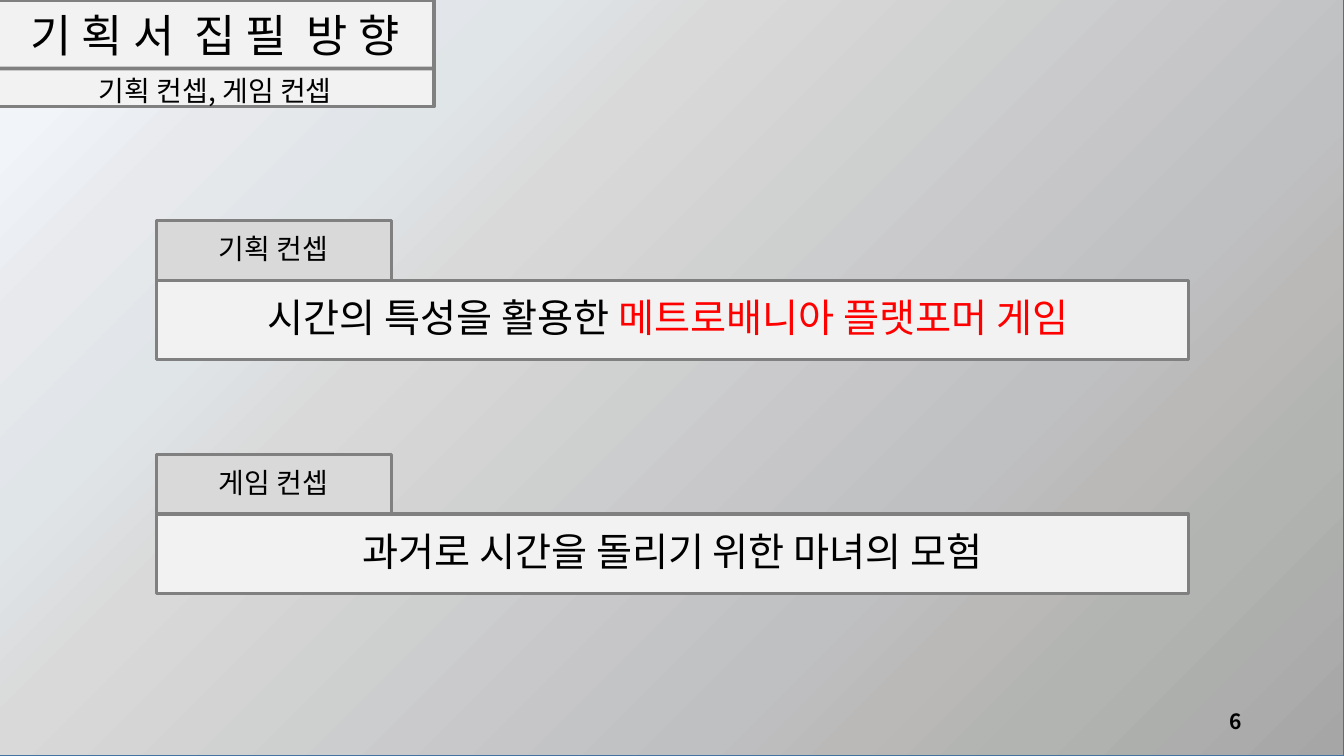
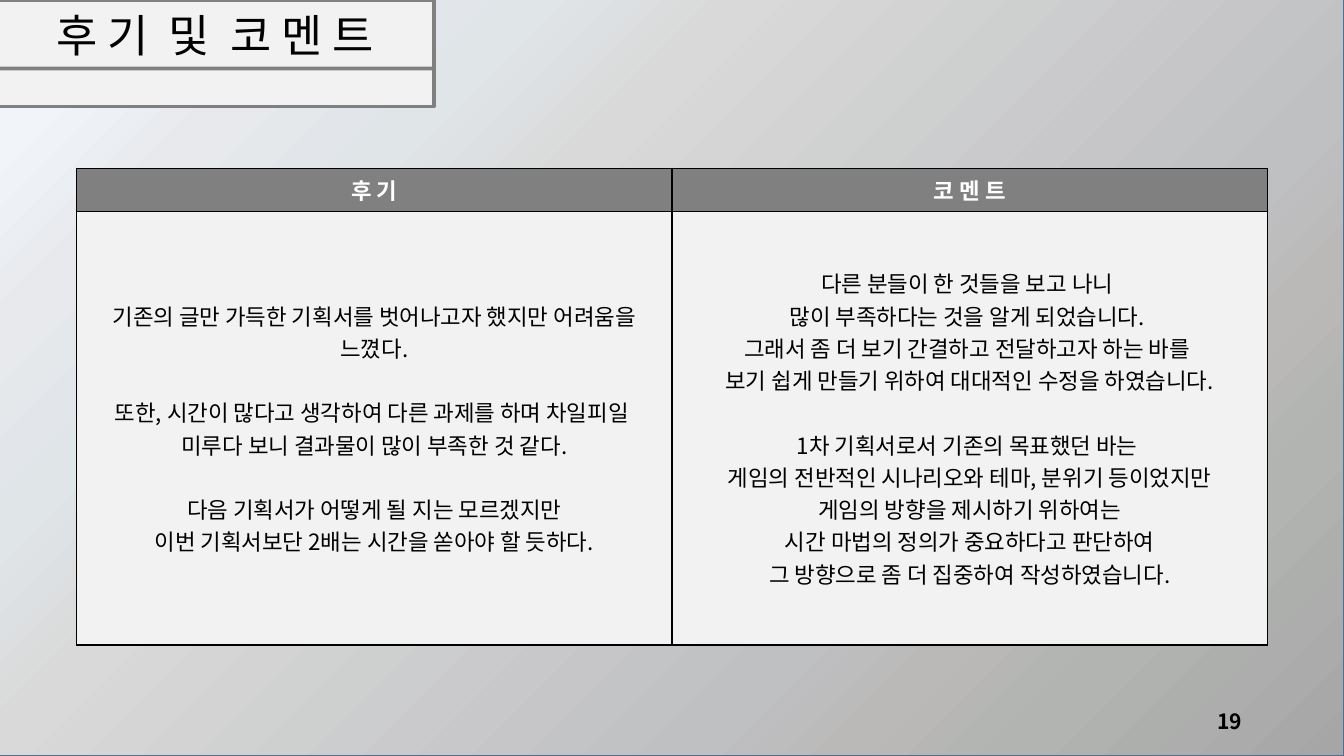
"""Builds two slides of a game design proposal."""
from dataclasses import dataclass
from typing import NamedTuple

from lxml import etree
from pptx import Presentation
from pptx.dml.color import RGBColor
from pptx.enum.shapes import MSO_SHAPE
from pptx.enum.text import MSO_ANCHOR, MSO_AUTO_SIZE, PP_ALIGN
from pptx.oxml.ns import qn
from pptx.presentation import Presentation as Deck
from pptx.shapes.autoshape import Shape
from pptx.slide import Slide, SlideLayout
from pptx.table import _Cell
from pptx.text.text import TextFrame, _Paragraph
from pptx.util import Emu, Inches, Pt

RECTANGLE = MSO_SHAPE.RECTANGLE
MIDDLE, BOTTOM = MSO_ANCHOR.MIDDLE, MSO_ANCHOR.BOTTOM
CENTER, RIGHT = PP_ALIGN.CENTER, PP_ALIGN.RIGHT
NO_AUTOFIT = MSO_AUTO_SIZE.NONE

SLIDE_WIDTH, SLIDE_HEIGHT = Inches(13.33), Inches(7.5)
GRID = 100


@dataclass(frozen=True)
class Theme:
    """Colours and type sizes of the deck."""
    font: str = "Noto Sans CJK KR"
    ink: str = "000000"
    accent: str = "FF0000"
    white: str = "FFFFFF"
    panel: str = "F2F2F2"
    tab: str = "D9D9D9"
    frame: str = "808080"
    edge: str = "43739E"
    backdrop: tuple[tuple[int, str], ...] = (
        (0, "F7FAFD"), (7, "F1F5F9"), (16, "E7E9ED"), (26, "E0E5E8"),
        (35, "D9D9D9"), (69, "BFC0C2"), (76, "BBB9B8"), (84, "B1B4B1"),
        (100, "A6A6A6"))
    title_size: float = 32
    statement_size: float = 28
    label_size: float = 20
    table_size: float = 16
    number_size: float = 15
    frame_width: float = 2.25
    edge_width: float = 1
    line_spacing: float = 0.9
    box_lead: float = 10
    stanza_gap: float = 23


class Area(NamedTuple):
    """A rectangle in columns and rows of the grid."""
    column: float
    row: float
    columns: float
    rows: float

    def emu(self) -> tuple[Emu, Emu, Emu, Emu]:
        """Return left, top, width and height."""
        return (across(self.column), down(self.row),
                across(self.columns), down(self.rows))


class Concept(NamedTuple):
    """A labelled statement with an optional highlighted ending."""
    label: str
    statement: str
    highlight: str = ""


class Review(NamedTuple):
    """A table column whose body is made of stanzas of lines."""
    heading: str
    stanzas: tuple[tuple[str, ...], ...]


THEME = Theme()
BACKDROP = Area(-0.2, -0.13, 100.2, 100.13)
HEADER = Area(-0.2, 0, 32.5, 14.13)
DIVIDER = Area(-0.2, 8.8, 32.5, 0.53)
TITLE = Area(0.45, 0.27, 31.13, 8.67)
SUBTITLE = Area(0.45, 10.53, 31.13, 4.4)
PAGE_NUMBER = Area(70.67, 92.67, 22.5, 5.33)
LABEL = Area(11.63, 29.2, 17.48, 7.87)
STATEMENT = Area(11.63, 37.07, 76.8, 10.53)
CONCEPT_PITCH = 30.93
REVIEWS_AREA = Area(5.7, 22.27, 88.6, 63.06)
HEADING_ROWS = 5.73

CONCEPTS = (
    Concept("기획 컨셉", "시간의 특성을 활용한 ", "메트로배니아 플랫포머 게임 "),
    Concept("게임 컨셉", "과거로 시간을 돌리기 위한 마녀의 모험"),
)
REVIEWS = (
    Review("후 기", (
        ("기존의 글만 가득한 기획서를 벗어나고자 했지만 어려움을 느꼈다.",),
        ("또한, 시간이 많다고 생각하여 다른 과제를 하며 차일피일 ",
         "미루다 보니 결과물이 많이 부족한 것 같다."),
        ("다음 기획서가 어떻게 될 지는 모르겠지만",
         "이번 기획서보단 2배는 시간을 쏟아야 할 듯하다."),
    )),
    Review("코 멘 트", (
        ("다른 분들이 한 것들을 보고 나니 ",
         "많이 부족하다는 것을 알게 되었습니다. ",
         "그래서 좀 더 보기 간결하고 전달하고자 하는 바를 ",
         "보기 쉽게 만들기 위하여 대대적인 수정을 하였습니다."),
        ("1차 기획서로서 기존의 목표했던 바는 ",
         "게임의 전반적인 시나리오와 테마, 분위기 등이었지만",
         "게임의 방향을 제시하기 위하여는",
         "시간 마법의 정의가 중요하다고 판단하여",
         "그 방향으로 좀 더 집중하여 작성하였습니다."),
    )),
)


def across(columns: float) -> Emu:
    """Convert grid columns to a length."""
    return Emu(round(SLIDE_WIDTH * columns / GRID))


def down(rows: float) -> Emu:
    """Convert grid rows to a length."""
    return Emu(round(SLIDE_HEIGHT * rows / GRID))


def rgb(value: str) -> RGBColor:
    """Return the colour for a hexadecimal value."""
    return RGBColor.from_string(value)


def style(paragraph: _Paragraph, size: float, color: str = THEME.ink,
          bold: bool = False, align: PP_ALIGN = CENTER) -> None:
    """Format a whole paragraph, East Asian letters included."""
    paragraph.alignment = align
    font = paragraph.font
    font.name, font.size, font.bold = THEME.font, Pt(size), bold
    font.color.rgb = rgb(color)
    defaults = paragraph.font._element if hasattr(font, "_element") else None
    if defaults is None:
        defaults = paragraph._p.pPr.find(qn("a:defRPr"))
    east_asian = etree.Element(qn("a:ea"), typeface=THEME.font)
    defaults.find(qn("a:latin")).addnext(east_asian)


def write(frame: TextFrame, text: str, size: float, anchor: MSO_ANCHOR,
          bold: bool = False, align: PP_ALIGN = CENTER) -> _Paragraph:
    """Put one formatted paragraph in a text frame."""
    frame.word_wrap = True
    frame.auto_size = NO_AUTOFIT
    frame.vertical_anchor = anchor
    paragraph = frame.paragraphs[0]
    paragraph.add_run().text = text
    style(paragraph, size, bold=bold, align=align)
    return paragraph


def add_box(slide: Slide, area: Area, fill: str, line: str = "",
            width: float = THEME.frame_width) -> Shape:
    """Draw a flat rectangle, outlined if a line colour is given."""
    box = slide.shapes.add_shape(RECTANGLE, *area.emu())
    box.shadow.inherit = False
    box.fill.solid()
    box.fill.fore_color.rgb = rgb(fill)
    if line:
        box.line.color.rgb = rgb(line)
        box.line.width = Pt(width)
    else:
        box.line.fill.background()
    return box


def shade(box: Shape) -> None:
    """Replace a solid fill by the diagonal backdrop gradient."""
    solid = box.element.spPr.find(qn("a:solidFill"))
    gradient = etree.Element(qn("a:gradFill"), rotWithShape="1")
    stops = etree.SubElement(gradient, qn("a:gsLst"))
    for percent, color in THEME.backdrop:
        stop = etree.SubElement(stops, qn("a:gs"), pos=str(percent * 1000))
        etree.SubElement(stop, qn("a:srgbClr"), val=color)
    etree.SubElement(gradient, qn("a:lin"), ang="2700000", scaled="0")
    solid.getparent().replace(solid, gradient)


def furnish_layout(slide: Slide, layout: SlideLayout) -> None:
    """Draw the shared backdrop and header and move them to the layout."""
    backdrop = add_box(slide, BACKDROP, THEME.panel, THEME.edge, THEME.edge_width)
    shade(backdrop)
    header = add_box(slide, HEADER, THEME.panel, THEME.frame)
    divider = add_box(slide, DIVIDER, THEME.frame)
    for position, part in enumerate((backdrop, header, divider), start=2):
        layout.shapes.element.insert(position, part.element)


def add_text(slide: Slide, area: Area, text: str, size: float,
             anchor: MSO_ANCHOR, bold: bool = False,
             align: PP_ALIGN = CENTER) -> _Paragraph:
    """Add a text box holding one paragraph."""
    frame = slide.shapes.add_textbox(*area.emu()).text_frame
    return write(frame, text, size, anchor, bold, align)


def add_page(deck: Deck, layout: SlideLayout, heading: str, number: int) -> Slide:
    """Add a slide with its title and page number."""
    slide = deck.slides.add_slide(layout)
    title = slide.shapes.title
    title.left, title.top, title.width, title.height = TITLE.emu()
    paragraph = write(title.text_frame, heading, THEME.title_size, BOTTOM)
    paragraph.line_spacing = THEME.line_spacing
    add_text(slide, PAGE_NUMBER, str(number), THEME.number_size, MIDDLE,
             bold=True, align=RIGHT)
    return slide


def add_concept(slide: Slide, concept: Concept, index: int) -> None:
    """Draw a statement bar with its label tab on top."""
    parts = (
        (STATEMENT, THEME.panel, concept.statement, THEME.statement_size),
        (LABEL, THEME.tab, concept.label, THEME.label_size),
    )
    for area, fill, text, size in parts:
        placed = area._replace(row=area.row + index * CONCEPT_PITCH)
        box = add_box(slide, placed, fill, THEME.frame)
        paragraph = write(box.text_frame, text, size, MIDDLE)
        paragraph.line_spacing = THEME.line_spacing
        paragraph.space_before = Pt(THEME.box_lead)
        if area is STATEMENT and concept.highlight:
            highlight = paragraph.add_run()
            highlight.text = concept.highlight
            highlight.font.color.rgb = rgb(THEME.accent)


def finish_cell(cell: _Cell, fill: str) -> None:
    """Give a cell its borders, fill and anchor."""
    properties = cell._tc.get_or_add_tcPr()
    for side in ("lnL", "lnR", "lnT", "lnB"):
        border = etree.SubElement(properties, qn(f"a:{side}"), w=str(Pt(1)))
        solid = etree.SubElement(border, qn("a:solidFill"))
        etree.SubElement(solid, qn("a:srgbClr"), val=THEME.ink)
    cell.fill.solid()
    cell.fill.fore_color.rgb = rgb(fill)
    cell.vertical_anchor = MIDDLE


def add_reviews(slide: Slide) -> None:
    """Draw the table with one review per column."""
    table = slide.shapes.add_table(2, len(REVIEWS), *REVIEWS_AREA.emu()).table
    table.first_row = table.horz_banding = False
    table.rows[0].height = down(HEADING_ROWS)
    table.rows[1].height = down(REVIEWS_AREA.rows - HEADING_ROWS)
    for column, review in enumerate(REVIEWS):
        heading, body = table.cell(0, column), table.cell(1, column)
        finish_cell(heading, THEME.frame)
        finish_cell(body, THEME.panel)
        heading.text = review.heading
        style(heading.text_frame.paragraphs[0], THEME.table_size, THEME.white, True)
        body.text = "\n".join(line for stanza in review.stanzas for line in stanza)
        paragraphs = iter(body.text_frame.paragraphs)
        for order, stanza in enumerate(review.stanzas):
            for position in range(len(stanza)):
                paragraph = next(paragraphs)
                style(paragraph, THEME.table_size)
                if order and not position:
                    paragraph.space_before = Pt(THEME.stanza_gap)


def main() -> None:
    """Build and save the deck."""
    deck = Presentation()
    deck.slide_width, deck.slide_height = SLIDE_WIDTH, SLIDE_HEIGHT
    layout = deck.slide_layouts.get_by_name("Title Only")

    direction = add_page(deck, layout, "기 획 서  집 필  방 향", 6)
    furnish_layout(direction, layout)
    subtitle = add_text(direction, SUBTITLE, "기획 컨셉, 게임 컨셉",
                        THEME.label_size, BOTTOM)
    subtitle.line_spacing = THEME.line_spacing
    for index, concept in enumerate(CONCEPTS):
        add_concept(direction, concept, index)

    add_reviews(add_page(deck, layout, "후 기  및  코 멘 트", 19))
    deck.save("out.pptx")


if __name__ == "__main__":
    main()
